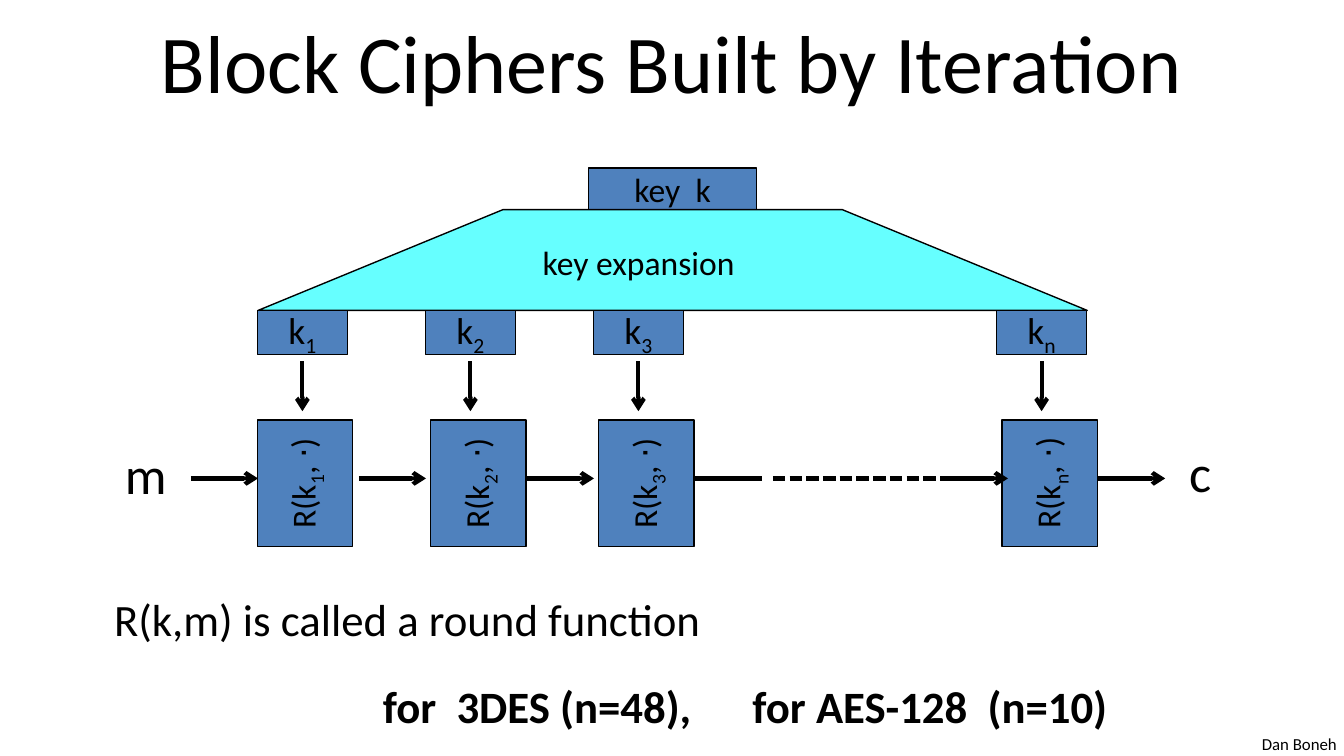
from dataclasses import dataclass

import pptx
import pptx.dml.color
import pptx.enum.dml
import pptx.enum.shapes
import pptx.enum.text
import pptx.oxml
import pptx.oxml.ns
import pptx.util

WIDTH = 10
HEIGHT = WIDTH * 9 / 16
FONT = "Calibri"
BLACK, BLUE, CYAN = "000000", "4F81BD", "66FFFF"

# Grid: the cipher rounds stand on columns one eighth of the slide apart
PITCH = WIDTH / 8
FIRST_COLUMN = 2.25
KEY_WIDTH, KEY_HEIGHT = 0.67, 0.33
ROUND_LENGTH, ROUND_WIDTH = 0.94, 0.71
KEY_ROW, ROUND_ROW, FLOW_ROW = 2.31, 3.24, 3.56
FLOW_LENGTH = 0.4 * PITCH

SHAPES = pptx.enum.shapes.MSO_SHAPE
ALIGN = pptx.enum.text.PP_ALIGN
ANCHOR = pptx.enum.text.MSO_ANCHOR


@dataclass(frozen=True)
class Box:
    left: float
    top: float
    width: float
    height: float

    def lengths(self) -> list:
        return [pptx.util.Inches(value)
                for value in (self.left, self.top, self.width, self.height)]


@dataclass(frozen=True)
class Run:
    text: str
    subscript: bool = False
    bold: bool = False


@dataclass(frozen=True)
class Round:
    column: float
    index: str
    shift: float = 0.06


@dataclass(frozen=True)
class Flow:
    start: float
    length: float = FLOW_LENGTH
    arrow: bool = True
    dashed: bool = False


def colour(value: str) -> pptx.dml.color.RGBColor:
    return pptx.dml.color.RGBColor.from_string(value)


def add_runs(paragraph, runs: list[Run], size: float, align=ALIGN.LEFT) -> None:
    paragraph.alignment = align
    for item in runs:
        run = paragraph.add_run()
        run.text = item.text
        run.font.name = FONT
        run.font.size = pptx.util.Pt(size)
        run.font.bold = item.bold
        run.font.color.rgb = colour(BLACK)
        if item.subscript:
            run.font._element.set("baseline", "-25000")


def add_text(slide, box: Box, text: str, size: float, wrap: bool = False,
             align=ALIGN.LEFT, anchor=ANCHOR.TOP):
    frame = slide.shapes.add_textbox(*box.lengths()).text_frame
    frame.word_wrap = wrap
    frame.vertical_anchor = anchor
    add_runs(frame.paragraphs[0], [Run(text)], size, align)
    return frame


def add_block(slide, box: Box, fill: str, runs: list[Run], size: float = 18,
              kind=SHAPES.RECTANGLE, rotation: float = 0):
    shape = slide.shapes.add_shape(kind, *box.lengths())
    shape.shadow.inherit = False
    shape.rotation = rotation
    shape.fill.solid()
    shape.fill.fore_color.rgb = colour(fill)
    shape.line.color.rgb = colour(BLACK)
    shape.line.width = pptx.util.Pt(0.75)
    shape.text_frame.vertical_anchor = ANCHOR.MIDDLE
    add_runs(shape.text_frame.paragraphs[0], runs, size, ALIGN.CENTER)
    return shape


def add_line(slide, start: tuple[float, float], end: tuple[float, float],
             arrow: bool = True, dashed: bool = False) -> None:
    points = [pptx.util.Inches(value) for value in (*start, *end)]
    line = slide.shapes.add_connector(
        pptx.enum.shapes.MSO_CONNECTOR.STRAIGHT, *points)
    line.line.color.rgb = colour(BLACK)
    line.line.width = pptx.util.Pt(2.25)
    if dashed:
        line.line.dash_style = pptx.enum.dml.MSO_LINE.SQUARE_DOT
    properties = line._element.spPr
    if arrow:
        head = pptx.oxml.parse_xml(
            f'<a:tailEnd {pptx.oxml.ns.nsdecls("a")} type="arrow"/>')
        properties.find(pptx.oxml.ns.qn("a:ln")).append(head)
    properties.append(pptx.oxml.parse_xml(
        f'<a:effectLst {pptx.oxml.ns.nsdecls("a")}/>'))


def add_tab_stops(paragraph, positions: list[float]) -> None:
    stops = "".join(f'<a:tab pos="{pptx.util.Inches(position)}" algn="l"/>'
                    for position in positions)
    paragraph._p.get_or_add_pPr().append(pptx.oxml.parse_xml(
        f'<a:tabLst {pptx.oxml.ns.nsdecls("a")}>{stops}</a:tabLst>'))


def add_round(slide, item: Round) -> None:
    """Draw a round key, its arrow and the round function below it."""
    centre = FIRST_COLUMN + item.column * PITCH
    index = Run(item.index, subscript=True)
    add_block(slide, Box(centre - KEY_WIDTH / 2, KEY_ROW, KEY_WIDTH, KEY_HEIGHT),
              BLUE, [Run("k"), index], 20)
    add_block(slide, Box(centre + item.shift - ROUND_LENGTH / 2, ROUND_ROW,
                         ROUND_LENGTH, ROUND_WIDTH),
              BLUE, [Run("R(k"), index, Run(", ⋅)")], rotation=270)
    add_line(slide, (centre, 2.69), (centre, 3.06))


def main() -> None:
    presentation = pptx.Presentation()
    presentation.slide_width = pptx.util.Inches(WIDTH)
    presentation.slide_height = pptx.util.Inches(HEIGHT)
    slide = presentation.slides.add_slide(presentation.slide_layouts[6])

    # Author and title
    add_text(slide, Box(9.29, 5.41, 0.76, 0.25), "Dan Boneh", 9)
    add_text(slide, Box(0.05 * WIDTH, -0.02, 0.9 * WIDTH, 0.94),
             "Block Ciphers Built by Iteration", 44, True,
             ALIGN.CENTER, ANCHOR.MIDDLE)

    # Notes on the round function
    body = add_text(slide, Box(0.75, 4.35, 8.92, 1.12),
                    "R(k,m) is called a round function", 24, True)
    examples = body.add_paragraph()
    add_tab_stops(examples, [2, 4.75])
    examples.space_before = pptx.util.Pt(18.2)
    add_runs(examples, [Run("\tfor  3DES (n=48),", bold=True),
                        Run("\tfor AES-128  (n=10)", bold=True)], 24)

    # Key and its expansion
    add_block(slide, Box(4.38, 1.25, PITCH, 0.31), BLUE, [Run("key  k")])
    expansion = add_block(slide, Box(1.92, 1.56, 6.17, 0.75), CYAN, [],
                          kind=SHAPES.TRAPEZOID)
    expansion.adjustments[0] = 2.43
    add_text(slide, Box(3.94, 1.75, 1.66, 0.4), "key expansion", 18)

    # Rounds
    for item in (Round(0, "1", 0.02), Round(1, "2"), Round(2, "3"),
                 Round(4.4, "n")):
        add_round(slide, item)

    # Data flow from message to ciphertext
    flows = [Flow(1.42 + step * PITCH) for step in range(3)]
    flows += [Flow(5.17, arrow=False), Flow(5.75, PITCH, False, True),
              Flow(7), Flow(8.17)]
    for flow in flows:
        add_line(slide, (flow.start, FLOW_ROW),
                 (flow.start + flow.length, FLOW_ROW), flow.arrow, flow.dashed)
    add_text(slide, Box(0.83, 3.24, 0.52, 0.57), "m", 28)
    add_text(slide, Box(8.75, 3.23, 0.42, 0.57), "c", 28, True)

    presentation.save("out.pptx")


if __name__ == "__main__":
    main()
